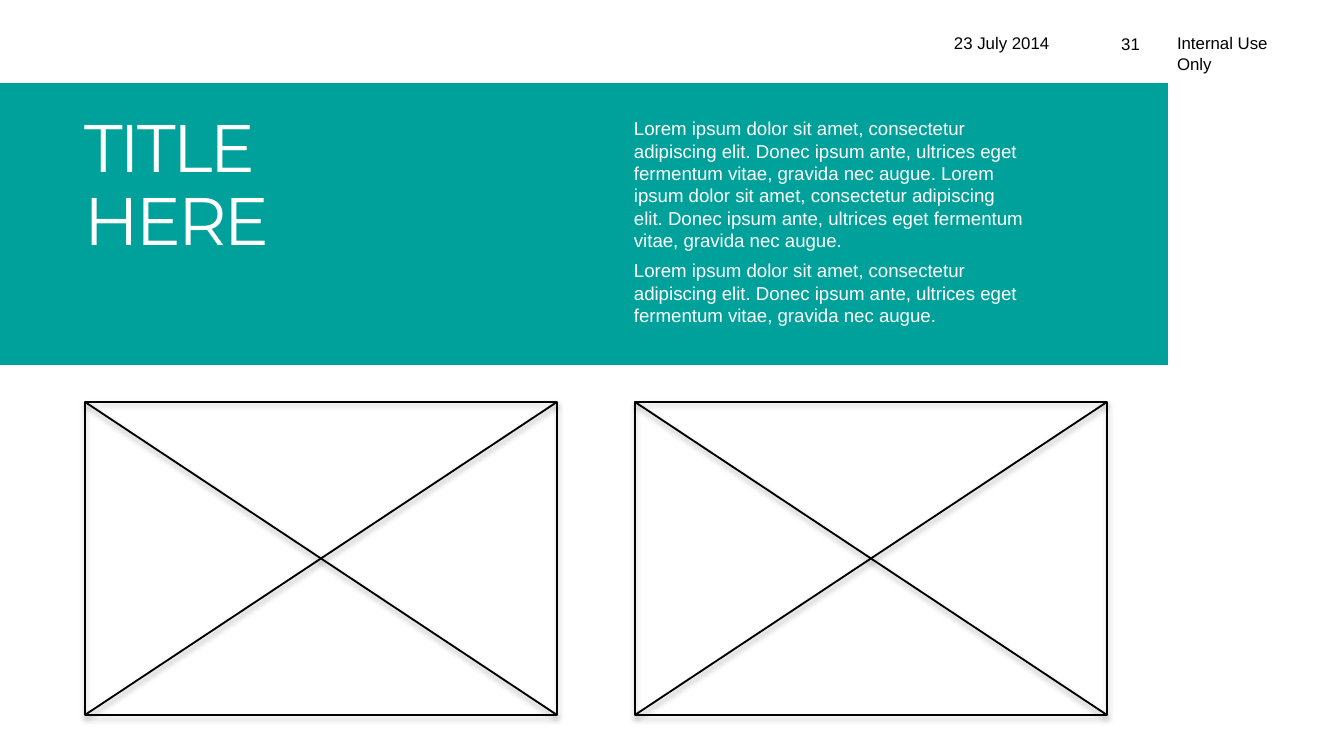
"""Build a title slide with a teal band, body copy and two image frames."""
from lxml import etree
from pptx import Presentation
from pptx import util as u
from pptx.dml.color import RGBColor
from pptx.enum import shapes, text
from pptx.oxml.ns import qn

BLACK, WHITE, TEAL = "000000", "FFFFFF", "00A19A"
LOREM = ("Lorem ipsum dolor sit amet, consectetur adipiscing elit. "
         "Donec ipsum ante, ultrices eget fermentum vitae, gravida nec augue.")
TITLE = ["TITLE", "HERE"]
BODY = [f"{LOREM} {LOREM}", LOREM]
HEADER = [
    ("31", (1073, 31, 67, 26),
     dict(align=text.PP_ALIGN.RIGHT, anchor=text.MSO_ANCHOR.MIDDLE, inset=(0, 0, 0, 0))),
    ("23 July 2014", (954, 26, 161, 26), dict(inset=(0, 7, 0, 0))),
    ("Internal Use Only", (1164, 26, 152, 34), {}),
]
BAND = (0, 83, 1168, 282)
FRAME_LEFTS, FRAME_TOP, FRAME_W, FRAME_H = (85, 635), 402, 472, 313


def px(n):
    return u.Emu(round(n * 914400 / 134.4))


def color(value):
    return RGBColor.from_string(value)


def place(sp, box):
    sp.left, sp.top, sp.width, sp.height = map(px, box)


def write(sp, lines, size=9, font="Arial", fill=BLACK, align=text.PP_ALIGN.LEFT,
          anchor=text.MSO_ANCHOR.TOP, inset=(13, 7, 13, 7), after=0, spacing=1.0, track=0):
    tf = sp.text_frame
    tf.word_wrap, tf.auto_size = True, text.MSO_AUTO_SIZE.NONE
    tf.vertical_anchor = anchor
    tf.margin_left, tf.margin_top, tf.margin_right, tf.margin_bottom = map(px, inset)
    for i, line in enumerate(lines):
        p = tf.add_paragraph() if i else tf.paragraphs[0]
        p.alignment, p.line_spacing = align, spacing
        p.space_before, p.space_after = u.Pt(0), u.Pt(after)
        r = p.add_run()
        r.text = line
        r.font.size, r.font.name = u.Pt(size), font
        r.font.color.rgb = color(fill)
        if track:
            r.font._element.set("spc", str(round(track * 100)))


def outline(sp, width, alpha, dist):
    sp.line.color.rgb, sp.line.width = color(BLACK), u.Pt(width)
    effects = etree.SubElement(sp._element.spPr, qn("a:effectLst"))
    shadow = etree.SubElement(effects, qn("a:outerShdw"), blurRad=str(u.Pt(3.1)),
                              dist=str(u.Pt(dist)), dir="5400000", rotWithShape="0")
    rgb = etree.SubElement(shadow, qn("a:srgbClr"), val=BLACK)
    etree.SubElement(rgb, qn("a:alpha"), val=str(alpha * 1000))


def main():
    prs = Presentation()
    prs.slide_width, prs.slide_height = px(1344), px(756)
    s = prs.slides.add_slide(prs.slide_layouts[5])

    for line, box, style in HEADER:
        write(s.shapes.add_textbox(*map(px, box)), [line], **style)

    band = s.shapes.add_shape(shapes.MSO_SHAPE.RECTANGLE, *map(px, BAND))
    band.shadow.inherit = False
    band.fill.solid()
    band.fill.fore_color.rgb = color(TEAL)
    band.line.fill.background()

    write(s.shapes.add_textbox(*map(px, (621, 110, 418, 243))), BODY,
          size=10, fill=WHITE, after=4)
    title = s.shapes.title
    place(title, (71, 118, 446, 138))
    write(title, TITLE, size=36, font="Montserrat", fill=WHITE,
          anchor=text.MSO_ANCHOR.MIDDLE, spacing=0.9, track=-1.5)
    s.shapes._spTree.append(title._element)

    bottom = FRAME_TOP + FRAME_H
    for left in FRAME_LEFTS:
        frame = s.shapes.add_shape(shapes.MSO_SHAPE.RECTANGLE,
                                   *map(px, (left, FRAME_TOP, FRAME_W, FRAME_H)))
        frame.fill.background()
        outline(frame, 0.75, 35, 1.8)
        right = left + FRAME_W
        for x1, x2 in ((left, right), (right, left)):
            diagonal = s.shapes.add_connector(shapes.MSO_CONNECTOR.STRAIGHT,
                                              *map(px, (x1, FRAME_TOP, x2, bottom)))
            outline(diagonal, 1, 38, 1.6)

    prs.save("out.pptx")


if __name__ == "__main__":
    main()
